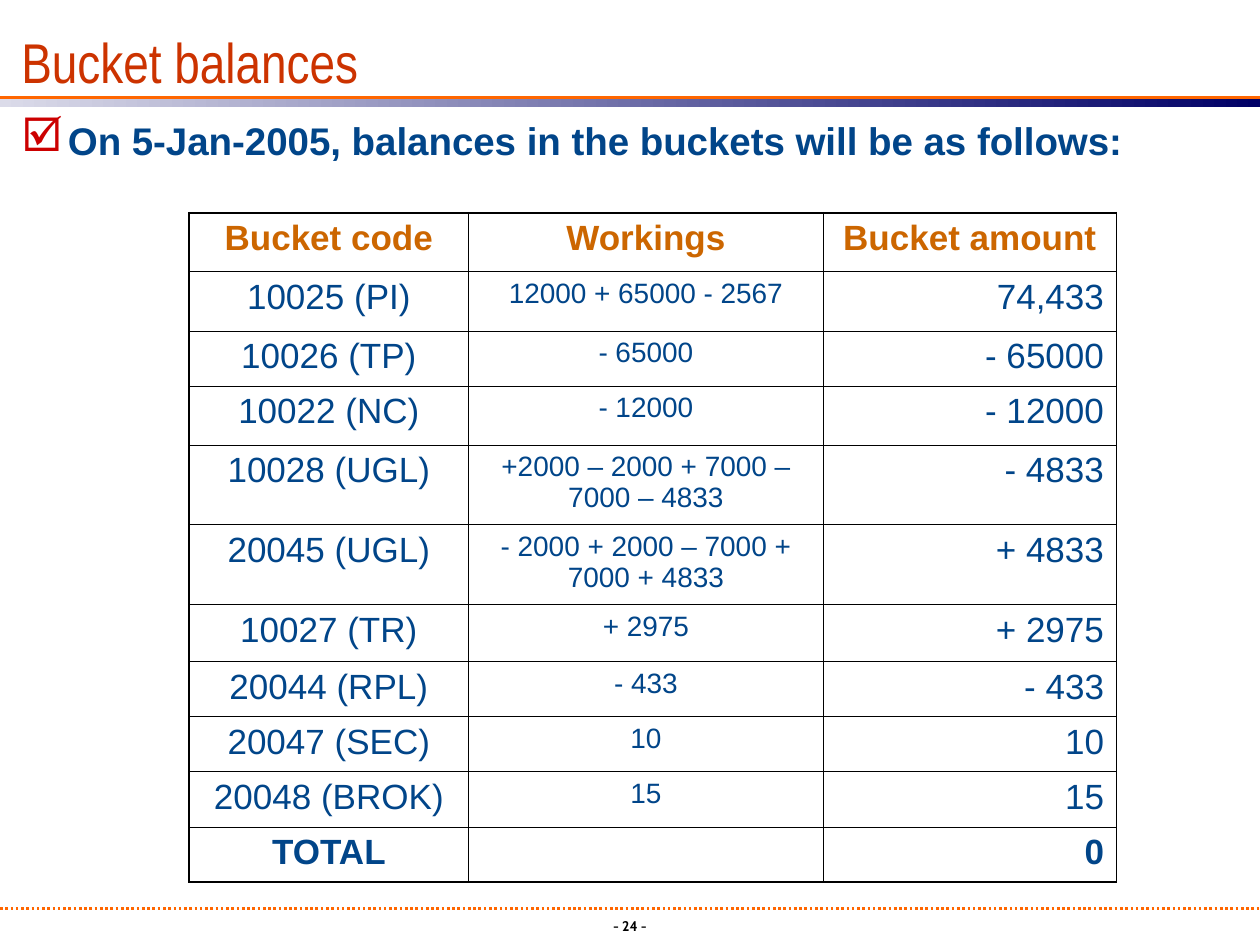
import pptx
import pptx.dml.color
import pptx.enum.dml
import pptx.enum.shapes
import pptx.enum.text
import pptx.oxml
import pptx.oxml.ns
import pptx.util
from lxml import etree

Cm = pptx.util.Cm
Pt = pptx.util.Pt
ALIGN = pptx.enum.text.PP_ALIGN
ANCHOR = pptx.enum.text.MSO_ANCHOR

COLORS = {
    "orange": "FF6600",
    "pale": "DBDBE9",
    "navy": "000066",
    "title": "CC3300",
    "text": "014589",
    "header": "CC6600",
    "bullet": "CC0000",
    "shadow": "808080",
    "black": "000000",
}

HEADINGS = ["Bucket code", "Workings", "Bucket amount"]
BALANCES = [
    ("10025 (PI)", "12000 + 65000 - 2567", "74,433"),
    ("10026 (TP)", "- 65000", "- 65000"),
    ("10022 (NC)", "- 12000", "- 12000"),
    ("10028 (UGL)", "+2000 – 2000 + 7000 – 7000 – 4833", "- 4833"),
    ("20045 (UGL)", "- 2000 + 2000 – 7000 + 7000 + 4833", "+ 4833"),
    ("10027 (TR)", "+ 2975", "+ 2975"),
    ("20044 (RPL)", "- 433", "- 433"),
    ("20047 (SEC)", "10", "10"),
    ("20048 (BROK)", "15", "15"),
]
TOTAL = ("TOTAL", "", "0")
COLUMN_WIDTHS = [5.64, 7.14, 5.92]
ROW_HEIGHTS = [1.19, 1.19, 1.11, 1.19, 1.61, 1.61, 1.15] + [1.11] * 4


def rgb(name):
    return pptx.dml.color.RGBColor.from_string(COLORS[name])


def add_element(parent, tag, **attributes):
    element = etree.SubElement(parent, pptx.oxml.ns.qn(tag))
    for key, value in attributes.items():
        element.set(key, str(value))
    return element


def add_span(para, text, size, color, font="Arial", bold=False):
    span = para.add_run()
    span.text = text
    span.font.name = font
    span.font.size = Pt(size)
    span.font.bold = bold
    span.font.color.rgb = rgb(color)
    return span


def add_box(slide, left, top, width, height, margins=(0, 0), anchor=ANCHOR.TOP):
    """Add a wrapping text box and return its first paragraph."""
    box = slide.shapes.add_textbox(Cm(left), Cm(top), Cm(width), Cm(height))
    frame = box.text_frame
    frame.word_wrap = True
    frame.vertical_anchor = anchor
    frame.margin_left = frame.margin_right = Cm(margins[0])
    frame.margin_top = frame.margin_bottom = Cm(margins[1])
    return frame.paragraphs[0]


def add_rule(slide, left, top, dash=None):
    rule = slide.shapes.add_connector(
        pptx.enum.shapes.MSO_CONNECTOR.STRAIGHT, Cm(left), Cm(top), Cm(25.4), Cm(top))
    rule.line.color.rgb = rgb("orange")
    rule.line.width = Pt(1.5)
    if dash:
        rule.line.dash_style = dash
    add_element(rule._element.spPr, "a:effectLst")


def add_gradient_band(slide):
    band = slide.shapes.add_shape(
        pptx.enum.shapes.MSO_SHAPE.RECTANGLE, Cm(0), Cm(1.98), Cm(25.4), Cm(0.18))
    band.shadow.inherit = False
    band.line.fill.background()
    band.fill.gradient()
    band.fill.gradient_angle = 0
    for stop, name in zip(band.fill.gradient_stops, ("pale", "navy")):
        stop.color.rgb = rgb(name)


def add_text_shadow(span):
    effects = pptx.oxml.parse_xml(
        f'<a:effectLst {pptx.oxml.ns.nsdecls("a")}>'
        '<a:outerShdw dist="17961" dir="2700000">'
        f'<a:srgbClr val="{COLORS["shadow"]}"/></a:outerShdw></a:effectLst>')
    span.font._element.find(pptx.oxml.ns.qn("a:solidFill")).addnext(effects)


def add_bullet(para, indent):
    properties = para._p.get_or_add_pPr()
    properties.set("marL", str(Cm(indent)))
    properties.set("indent", str(-Cm(indent)))
    color = add_element(properties, "a:buClr")
    add_element(color, "a:srgbClr", val=COLORS["bullet"])
    add_element(properties, "a:buSzPct", val=120000)
    add_element(properties, "a:buChar", char="☑")


def set_borders(cell, widths):
    """Draw the borders; widths are points for left, right, top and bottom."""
    properties = cell._tc.get_or_add_tcPr()
    for index, (side, width) in enumerate(zip("LRTB", widths)):
        border = add_element(properties, f"a:ln{side}", w=Pt(width))
        fill = add_element(border, "a:solidFill")
        add_element(fill, "a:srgbClr", val=COLORS["black"])
        properties.insert(index, border)


def add_balance_table(slide):
    rows = [HEADINGS, *BALANCES, TOTAL]
    last_row, last_column = len(rows) - 1, len(HEADINGS) - 1
    table = slide.shapes.add_table(
        len(rows), len(HEADINGS), Cm(3.81), Cm(4.29),
        Cm(sum(COLUMN_WIDTHS)), Cm(sum(ROW_HEIGHTS))).table
    table.first_row = table.horz_banding = False
    for column, width in zip(table.columns, COLUMN_WIDTHS):
        column.width = Cm(width)
    for row, height in zip(table.rows, ROW_HEIGHTS):
        row.height = Cm(height)

    for r, texts in enumerate(rows):
        for c, text in enumerate(texts):
            cell = table.cell(r, c)
            cell.fill.background()
            outer_edges = (c == 0, c == last_column, r == 0, r == last_row)
            set_borders(cell, [1.08 if outer else 0.45 for outer in outer_edges])
            para = cell.text_frame.paragraphs[0]
            is_amount = r > 0 and c == last_column
            para.alignment = ALIGN.RIGHT if is_amount else ALIGN.CENTER
            if text:
                add_span(para, text,
                         size=16 if r > 0 and c == 1 else 20,
                         color="text" if r > 0 else "header",
                         bold=r in (0, last_row))


def main():
    deck = pptx.Presentation()
    deck.slide_width, deck.slide_height = Cm(25.4), Cm(19.05)
    slide = deck.slides.add_slide(deck.slide_layouts[6])

    # Rules and band
    add_rule(slide, 0, 18.31, pptx.enum.dml.MSO_LINE.ROUND_DOT)
    add_gradient_band(slide)
    add_rule(slide, -0.05, 1.96)

    # Page number
    para = add_box(slide, 10.06, 18.36, 5.28, 0.69, margins=(0.25, 0.13))
    para.alignment = ALIGN.CENTER
    add_span(para, "- 24 -", 8, "black", font="Cabin", bold=True)

    # Title
    para = add_box(slide, 0.43, 0.36, 20.32, 1.55, anchor=ANCHOR.BOTTOM)
    add_text_shadow(add_span(para, "Bucket balances", 32, "title", font="Arial Narrow"))

    # Introduction
    para = add_box(slide, 0.43, 2.36, 24.56, 13.74)
    add_bullet(para, 0.94)
    add_span(para, "On 5-Jan-2005, balances in the buckets will be as follows:",
             22, "text", bold=True)

    # Balances
    add_balance_table(slide)

    deck.save("out.pptx")


if __name__ == "__main__":
    main()
